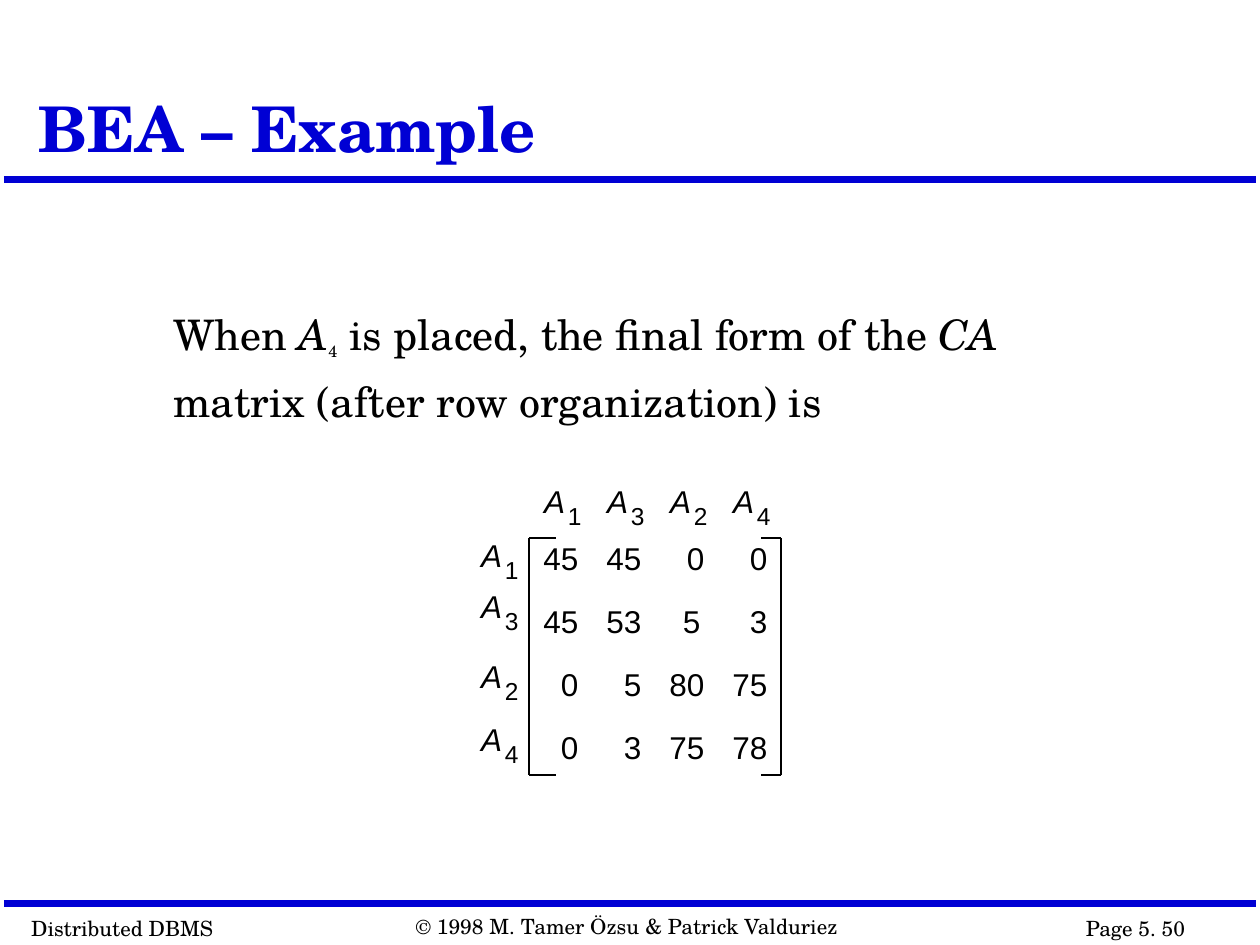
from lxml.etree import SubElement
from pptx import Presentation
from pptx.dml.color import RGBColor
from pptx.enum.shapes import MSO_CONNECTOR
from pptx.enum.text import MSO_ANCHOR, PP_ALIGN
from pptx.oxml.ns import qn
from pptx.util import Cm, Pt

BLUE = RGBColor(0x00, 0x00, 0xD4)
BLACK = RGBColor(0x00, 0x00, 0x00)
SERIF = "TeX Gyre Schola"
SANS = "Arial"

ATTRIBUTES = ["1", "3", "2", "4"]
AFFINITIES = [
    [45, 45, 0, 0],
    [45, 53, 5, 3],
    [0, 5, 80, 75],
    [0, 3, 75, 78],
]
ROW_LABEL_TOPS = [10.69, 11.71, 13.13, 14.4]
CELL_STEP = 1.27
CELL_NUDGES = {(1, 2): -0.08}


def add_run(paragraph, text, size, font_name=SERIF, color=BLACK,
            bold=False, italic=False, subscript=False):
    run = paragraph.add_run()
    run.text = text
    run.font.size = Pt(size)
    run.font.name = font_name
    run.font.color.rgb = color
    run.font.bold = bold
    run.font.italic = italic
    if subscript:
        run.font._element.set("baseline", "-25000")


def add_text_box(slide, left, top, width, height):
    shape = slide.shapes.add_textbox(Cm(left), Cm(top), Cm(width), Cm(height))
    shape.text_frame.word_wrap = True
    return shape.text_frame.paragraphs[0]


def add_line(slide, start, end, color, width):
    connector = slide.shapes.add_connector(
        MSO_CONNECTOR.STRAIGHT, *(Cm(value) for value in start + end))
    connector.line.color.rgb = color
    connector.line.width = Pt(width)
    SubElement(connector._element.spPr, qn("a:effectLst"))


def add_title(slide):
    title = slide.shapes.title
    title.left, title.top = Cm(0.53), Cm(0.3)
    title.width, title.height = Cm(19.89), Cm(3.18)
    title.text_frame.vertical_anchor = MSO_ANCHOR.BOTTOM
    paragraph = title.text_frame.paragraphs[0]
    paragraph.alignment = PP_ALIGN.LEFT
    paragraph.line_spacing = 0.9
    add_run(paragraph, "BEA – Example", 36, color=BLUE, bold=True)


def add_footer(slide):
    for left, top, width, text in [
        (0.38, 18.34, 4.5, "Distributed DBMS"),
        (21.64, 18.34, 3.5, "Page 5. 50"),
        (8.13, 18.29, 9.5, "© 1998 M. Tamer Özsu & Patrick Valduriez"),
    ]:
        add_run(add_text_box(slide, left, top, width, 0.76), text, 12)


def add_statement(slide):
    paragraph = add_text_box(slide, 3.25, 5.77, 18.06, 2.77)
    paragraph.line_spacing = 1.3
    add_run(paragraph, "When ", 24)
    add_run(paragraph, "A", 24, italic=True)
    add_run(paragraph, "4", 16, subscript=True)
    add_run(paragraph, " is placed, the final form of the ", 24)
    add_run(paragraph, "CA", 24, italic=True)
    add_run(paragraph, " matrix (after row organization) is", 24)


def add_attribute_label(slide, left, top, index):
    letter = add_text_box(slide, left, top, 1, 1.02)
    add_run(letter, "A", 18, SANS, italic=True)
    digit = add_text_box(slide, left + 0.48, top + 0.38, 0.84, 0.84)
    add_run(digit, index, 14, SANS)


def add_bracket(slide, side, tick_end, top=10.85, bottom=15.62):
    add_line(slide, (side, top), (side, bottom), BLACK, 1)
    for height in (top, bottom):
        add_line(slide, (side, height), (tick_end, height), BLACK, 1)


def add_matrix(slide):
    for column, index in enumerate(ATTRIBUTES):
        add_attribute_label(slide, 10.72 + column * CELL_STEP, 9.6, index)
    for top, index in zip(ROW_LABEL_TOPS, ATTRIBUTES):
        add_attribute_label(slide, 9.45, top, index)
    for row, values in enumerate(AFFINITIES):
        for column, value in enumerate(values):
            left = 10.61 + column * CELL_STEP + CELL_NUDGES.get((row, column), 0)
            paragraph = add_text_box(slide, left, 10.74 + row * CELL_STEP, 1.3, 1.02)
            paragraph.alignment = PP_ALIGN.RIGHT
            add_run(paragraph, str(value), 18, SANS)
    add_bracket(slide, 10.67, 11.2)
    add_bracket(slide, 15.75, 15.34)


def main():
    presentation = Presentation()
    presentation.slide_width = Cm(25.4)
    presentation.slide_height = Cm(19.05)
    slide = presentation.slides.add_slide(presentation.slide_layouts[5])
    for height in (3.61, 18.21):
        add_line(slide, (0.08, height), (25.32, height), BLUE, 4)
    add_title(slide)
    add_footer(slide)
    add_statement(slide)
    add_matrix(slide)
    presentation.save("out.pptx")


if __name__ == "__main__":
    main()
